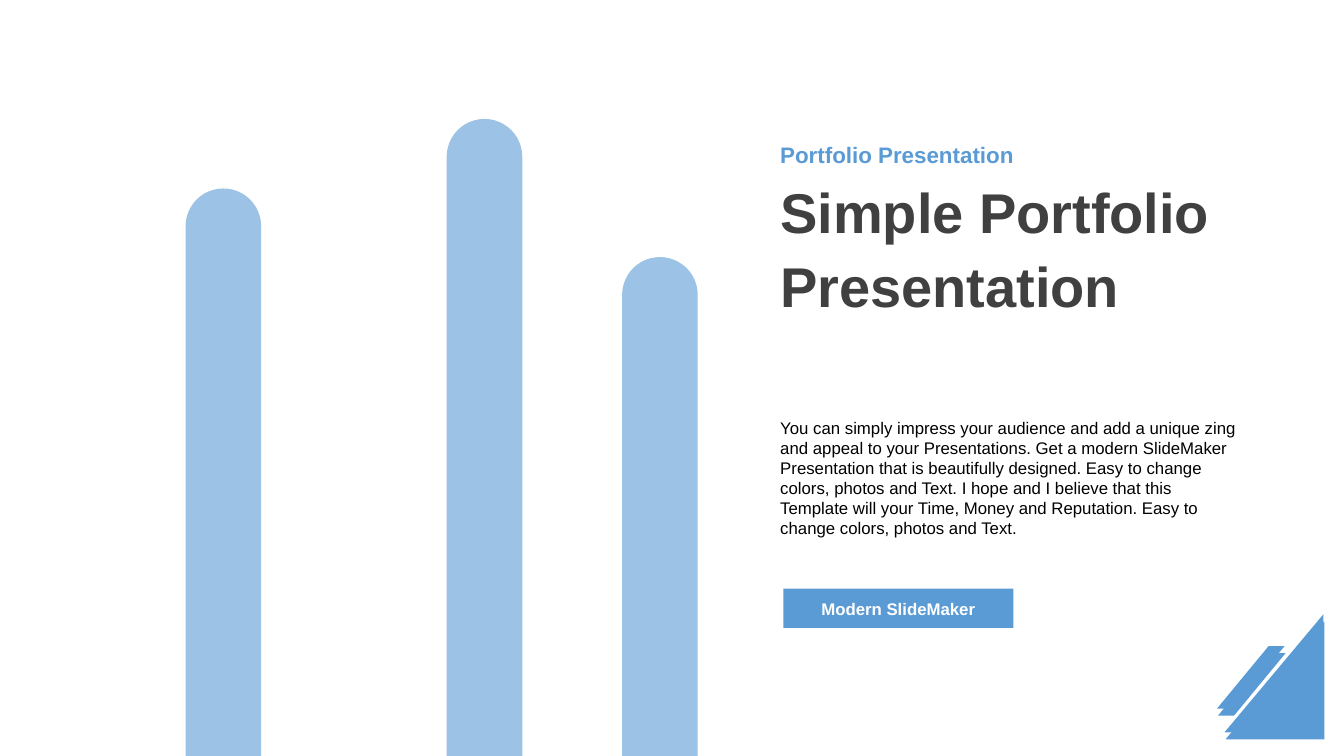
"""Build the portfolio title slide with rounded bars and a corner ornament."""
import pptx
import pptx.util
import pptx.dml.color
import pptx.enum.shapes
import pptx.enum.text
import pptx.oxml.ns
import lxml.etree

Inches = pptx.util.Inches
RGBColor = pptx.dml.color.RGBColor
MSO_SHAPE = pptx.enum.shapes.MSO_SHAPE
MIDDLE = pptx.enum.text.MSO_ANCHOR.MIDDLE
TOP = pptx.enum.text.MSO_ANCHOR.TOP

BLUE = RGBColor(0x5A, 0x9B, 0xD5)
DARK_GRAY = RGBColor(0x40, 0x40, 0x40)
BLACK = RGBColor(0x00, 0x00, 0x00)
WHITE = RGBColor(0xFF, 0xFF, 0xFF)

TEXT_LEFT = 7.64
BAR_WIDTH = 0.75
SLIDE_HEIGHT = 7.5


def add_blue_shape(kind, left, top, width, height, rotation=0):
    shape = slide.shapes.add_shape(
        kind, Inches(left), Inches(top), Inches(width), Inches(height))
    shape.shadow.inherit = False
    shape.fill.solid()
    shape.fill.fore_color.rgb = BLUE
    shape.line.fill.background()
    shape.rotation = rotation
    return shape


def write_text(shape, text, size, color, bold, anchor):
    frame = shape.text_frame
    frame.word_wrap = True
    frame.vertical_anchor = anchor
    frame.text = text
    paragraph = frame.paragraphs[0]
    font = paragraph.runs[0].font
    font.name = "Arial"
    font.size = pptx.util.Pt(size)
    font.bold = bold
    font.color.rgb = color
    return paragraph


presentation = pptx.Presentation()
presentation.slide_width = Inches(13.33)
presentation.slide_height = Inches(SLIDE_HEIGHT)
slide = presentation.slides.add_slide(presentation.slide_layouts[6])

description = (
    "You can simply impress your audience and add a unique zing and appeal to "
    "your Presentations. Get a modern SlideMaker Presentation that is "
    "beautifully designed. Easy to change colors, photos and Text. I hope and "
    "I believe that this Template will your Time, Money and Reputation. Easy "
    "to change colors, photos and Text.")
texts = [
    (1.32, 3.39, 0.43, "Portfolio Presentation", 16, BLUE, True, MIDDLE, 1.0),
    (1.77, 4.75, 1.32, "Simple Portfolio Presentation", 40, DARK_GRAY, True, MIDDLE, 1.1),
    (4.09, 4.75, 1.31, description, 12, BLACK, False, TOP, 1.0),
]
for top, width, height, text, size, color, bold, anchor, spacing in texts:
    text_box = slide.shapes.add_textbox(
        Inches(TEXT_LEFT), Inches(top), Inches(width), Inches(height))
    paragraph = write_text(text_box, text, size, color, bold, anchor)
    paragraph.line_spacing = spacing

button = add_blue_shape(MSO_SHAPE.RECTANGLE, 7.77, 5.84, 2.28, 0.39)
paragraph = write_text(button, "Modern SlideMaker", 12, WHITE, True, MIDDLE)
paragraph.alignment = pptx.enum.text.PP_ALIGN.CENTER

for left, top in [(12.05, 6.19), (12.06, 6.26)]:
    add_blue_shape(MSO_SHAPE.RIGHT_TRIANGLE, left, top, 1.17, 0.98, 270)
    stripe = add_blue_shape(
        MSO_SHAPE.PARALLELOGRAM, left + 0.02, top + 0.22, 0.67, 0.62, 180)
    stripe.adjustments[0] = 0.825

for left, top in [(1.84, 1.87), (4.43, 1.18), (6.17, 2.55)]:
    bar = add_blue_shape(
        MSO_SHAPE.ROUND_2_SAME_RECTANGLE, left, top, BAR_WIDTH, SLIDE_HEIGHT - top)
    bar.adjustments[0] = 0.5
    bar.adjustments[1] = 0
    fill_color = bar.fill._xPr.find(".//" + pptx.oxml.ns.qn("a:srgbClr"))
    alpha = lxml.etree.SubElement(fill_color, pptx.oxml.ns.qn("a:alpha"))
    alpha.set("val", "60000")

presentation.save("out.pptx")
